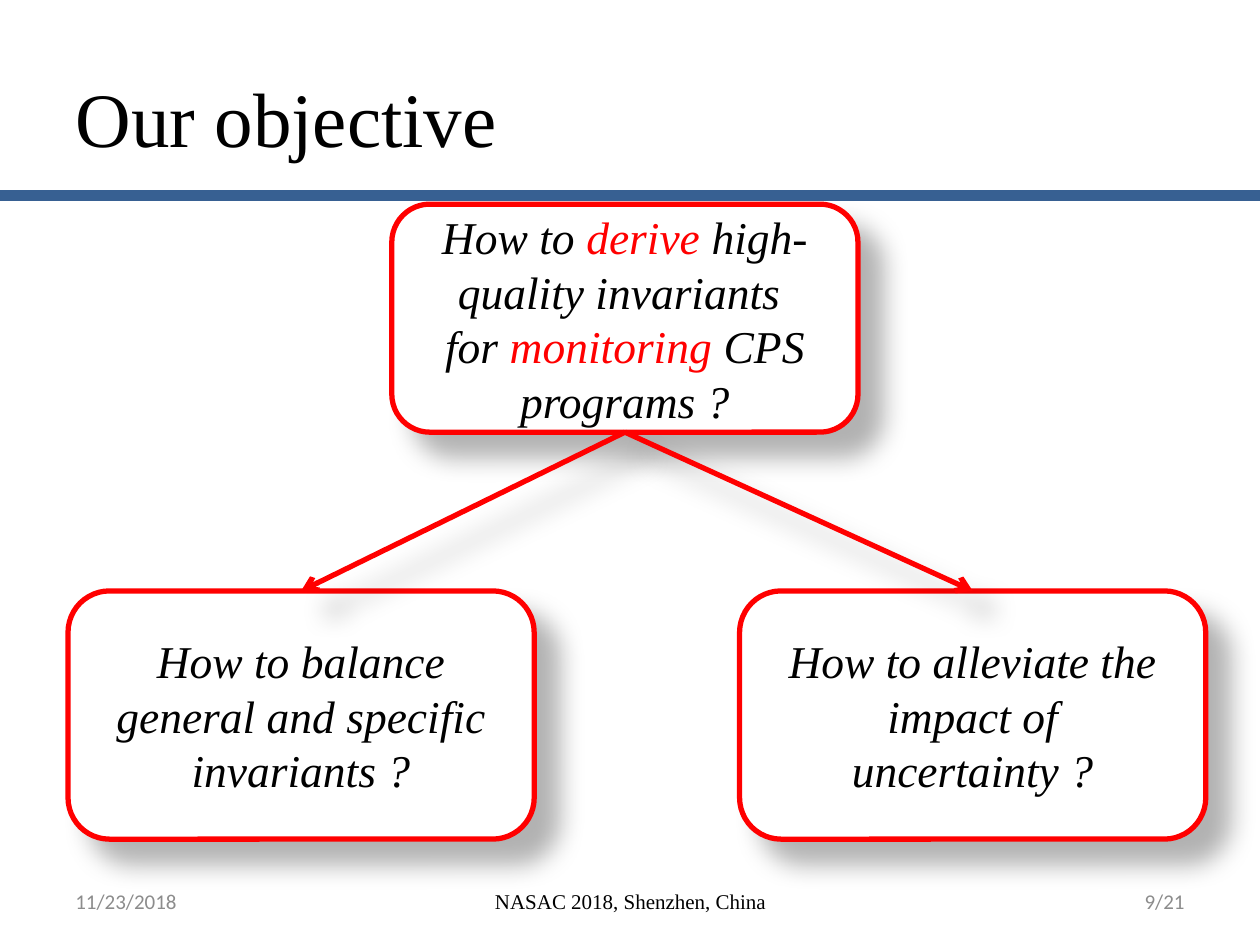
import pptx
import pptx.util
import pptx.dml.color
import pptx.enum.shapes
import pptx.enum.text
import pptx.oxml
import pptx.oxml.ns
from pptx.util import Inches, Pt

W, H = 10, 7.5
SERIF, SANS = "Times New Roman", "Calibri"
BLACK, RED, GREY, BLUE, WHITE = "000000", "FF0000", "8C8C8C", "376092", "FFFFFF"
ALIGN = pptx.enum.text.PP_ALIGN
MIDDLE = pptx.enum.text.MSO_ANCHOR.MIDDLE
STRAIGHT = pptx.enum.shapes.MSO_CONNECTOR.STRAIGHT
ROUNDED = pptx.enum.shapes.MSO_SHAPE.ROUNDED_RECTANGLE

TITLE = "Our objective"
RULE_Y = 1.55
BOX_W = 3.7
GOAL = (3.11, 1.62, 1.81, [
    [("How to ", BLACK), ("derive ", RED), ("high-quality invariants ", BLACK)],
    [("for ", BLACK), ("monitoring", RED), (" CPS programs ?", BLACK)],
])
QUESTIONS = [
    (0.54, 4.69, 1.97, [[("How to balance general and specific invariants ?", BLACK)]]),
    (5.87, 4.69, 1.97, [[("How to alleviate the impact of uncertainty ?", BLACK)]]),
]
FOOTER = [
    ("11/23/2018", 0.5, 2.33, ALIGN.LEFT, SANS, GREY),
    ("NASAC 2018, Shenzhen, China", 3.42, 3.17, ALIGN.CENTER, SERIF, BLACK),
    ("9/21", 7.17, 2.33, ALIGN.RIGHT, SANS, GREY),
]
SHADOW = (
    '<a:effectLst %s><a:outerShdw blurRad="%d" dist="%d" dir="2700000" algn="tl" rotWithShape="0">'
    '<a:srgbClr val="000000"><a:alpha val="30000"/></a:srgbClr></a:outerShdw></a:effectLst>'
    % (pptx.oxml.ns.nsdecls("a"), Pt(15), Pt(18))
)
NO_EFFECT = "<a:effectLst %s/>" % pptx.oxml.ns.nsdecls("a")
ARROW = '<a:tailEnd %s type="arrow"/>' % pptx.oxml.ns.nsdecls("a")


def rgb(value):
    return pptx.dml.color.RGBColor.from_string(value)


def style(r, font, size, color, italic=False):
    r.font.name, r.font.size, r.font.italic = font, Pt(size), italic
    r.font.color.rgb = rgb(color)


def outline(shape, color, width):
    shape.line.color.rgb = rgb(color)
    shape.line.width = Pt(width)


def effect(shape, xml):
    shape._element.spPr.append(pptx.oxml.parse_xml(xml))


def add_box(s, left, top, height, paragraphs):
    sp = s.shapes.add_shape(ROUNDED, *map(Inches, (left, top, BOX_W, height)))
    sp.fill.solid()
    sp.fill.fore_color.rgb = rgb(WHITE)
    outline(sp, RED, 3)
    effect(sp, SHADOW)
    tf = sp.text_frame
    tf.word_wrap, tf.vertical_anchor = True, MIDDLE
    for i, runs in enumerate(paragraphs):
        p = tf.add_paragraph() if i else tf.paragraphs[0]
        p.alignment = ALIGN.CENTER
        for text, color in runs:
            r = p.add_run()
            r.text = text
            style(r, SERIF, 26, color, True)
    return sp


def add_arrow(s, start, end):
    c = s.shapes.add_connector(STRAIGHT, 0, 0, 0, 0)
    c.begin_connect(start, 2)
    c.end_connect(end, 0)
    outline(c, RED, 3)
    c.line._ln.append(pptx.oxml.parse_xml(ARROW))
    effect(c, SHADOW)


def set_line(sp, text, align, font, size, color):
    tf = sp.text_frame
    tf.text = text
    tf.word_wrap, tf.vertical_anchor = True, MIDDLE
    p = tf.paragraphs[0]
    p.alignment = align
    style(p.runs[0], font, size, color)


def main():
    prs = pptx.Presentation()
    prs.slide_width, prs.slide_height = Inches(W), Inches(H)
    s = prs.slides.add_slide(prs.slide_layouts[5])

    title = s.shapes.title
    title.left, title.top, title.width, title.height = map(Inches, (0.5, 0.3, 9, 1.25))
    set_line(title, TITLE, ALIGN.LEFT, SERIF, 44, BLACK)

    rule = s.shapes.add_connector(STRAIGHT, 0, Inches(RULE_Y), Inches(W), Inches(RULE_Y))
    outline(rule, BLUE, 6)
    effect(rule, NO_EFFECT)

    goal = add_box(s, *GOAL)
    questions = [add_box(s, *q) for q in QUESTIONS]
    for q in questions:
        add_arrow(s, goal, q)

    for text, left, width, align, font, color in FOOTER:
        sp = s.shapes.add_textbox(*map(Inches, (left, 6.95, width, 0.4)))
        set_line(sp, text, align, font, 12, color)

    prs.save("out.pptx")


if __name__ == "__main__":
    main()
